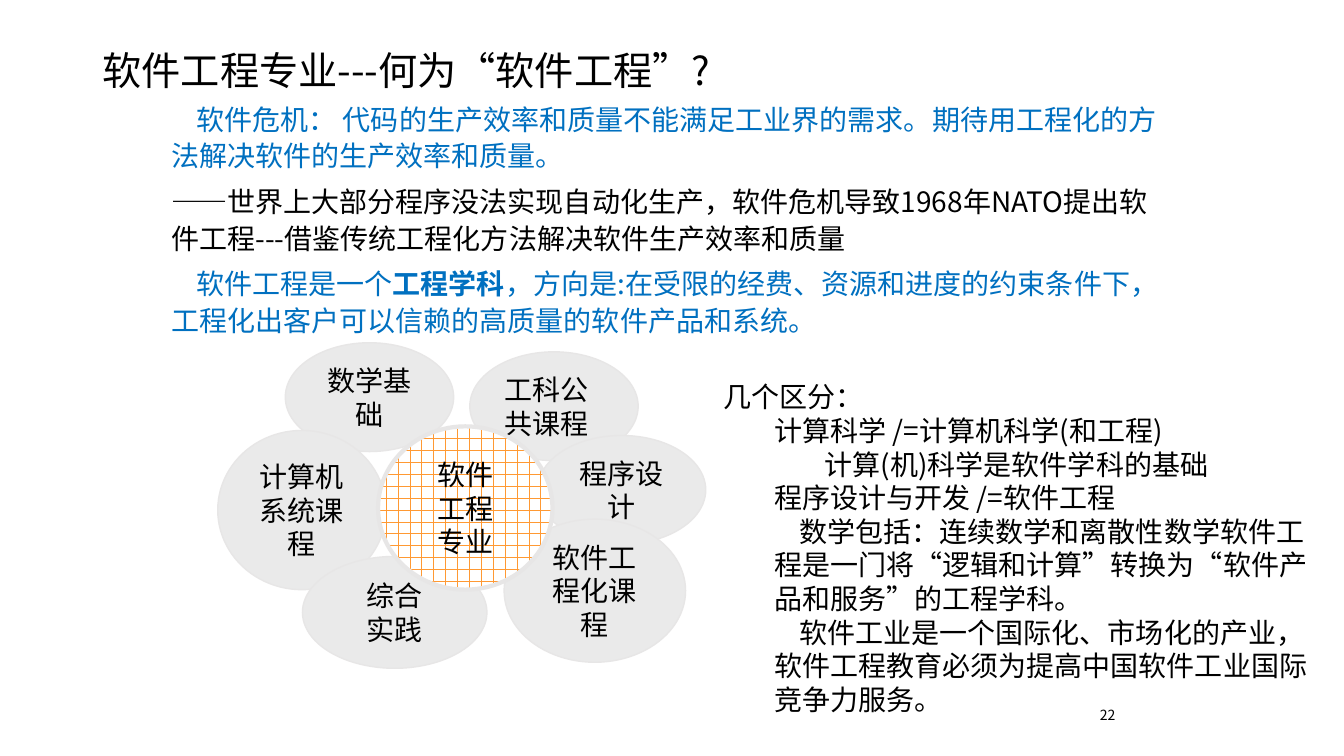
from lxml import etree
from pptx import Presentation
from pptx import util as u
from pptx.dml.color import RGBColor
from pptx.enum import dml, shapes, text
from pptx.oxml.ns import qn

SCALE = 9144
FONT = "Noto Sans CJK SC"
BLACK = RGBColor(0x00, 0x00, 0x00)
BLUE = RGBColor(0x00, 0x70, 0xC0)
PETAL = RGBColor(0xEA, 0xEA, 0xEA)
EDGE = RGBColor(0xE7, 0xE6, 0xE6)
ORANGE = RGBColor(0xFF, 0x99, 0x33)
WHITE = RGBColor(0xFF, 0xFF, 0xFF)
LEFT, CENTER, RIGHT = text.PP_ALIGN.LEFT, text.PP_ALIGN.CENTER, text.PP_ALIGN.RIGHT
TOP, MIDDLE = text.MSO_ANCHOR.TOP, text.MSO_ANCHOR.MIDDLE

COURSES = [
    ((283, 340, 167, 108), ["数学基础"], CENTER),
    ((466, 349, 167, 108), ["工科公共课程"], LEFT),
    ((216, 427, 167, 158), ["计算机", "系统课程"], CENTER),
    ((533, 432, 167, 108), ["程序设计"], CENTER),
    ((500, 515, 180, 142), ["软件工程化课程"], CENTER),
    ((300, 552, 183, 111), ["综合", "实践"], CENTER),
]
DEFINITION = [
    (BLUE, 25, ["软件危机： 代码的生产效率和质量不能满足工业界的需求。期待用工程化的方法解决软件的生产效率和质量。"]),
    (BLACK, 0, ["——世界上大部分程序没法实现自动化生产，软件危机导致1968年NATO提出软件工程---借鉴传统工程化方法解决软件生产效率和质量"]),
    (BLUE, 25, ["软件工程是一个", "工程学科",
                "，方向是:在受限的经费、资源和进度的约束条件下，工程化出客户可以信赖的高质量的软件产品和系统。"]),
]
DISTINCTIONS = [
    (0, 0, "几个区分："),
    (50, 0, "计算科学 /=计算机科学(和工程)"),
    (100, 0, "计算(机)科学是软件学科的基础"),
    (50, 0, "程序设计与开发 /=软件工程"),
    (50, 25, "数学包括：连续数学和离散性数学软件工程是一门将“逻辑和计算”转换为“软件产品和服务”的工程学科。"),
    (50, 25, "软件工业是一个国际化、市场化的产业，软件工程教育必须为提高中国软件工业国际竞争力服务。"),
]


def px(n):
    return u.Emu(n * SCALE)


def paragraph(tf, i, runs, size=20, color=BLACK, align=LEFT, margin=0, indent=0):
    p = tf.add_paragraph() if i else tf.paragraphs[0]
    pPr = p._p.get_or_add_pPr()
    pPr.set("marL", str(px(margin)))
    pPr.set("indent", str(px(indent)))
    p.alignment = align
    for content in runs:
        p.add_run().text = content
    p.font.name = FONT
    p.font.size = u.Pt(size)
    p.font.color.rgb = color
    etree.SubElement(pPr.find(qn("a:defRPr")), qn("a:ea"), typeface=FONT)
    return p


def textbox(s, box, anchor=TOP):
    tf = s.shapes.add_textbox(*map(px, box)).text_frame
    tf.word_wrap = True
    tf.vertical_anchor = anchor
    return tf


def ellipse(s, box, lines, align=CENTER, line_width=1):
    sp = s.shapes.add_shape(shapes.MSO_SHAPE.OVAL, *map(px, box))
    sp.shadow.inherit = False
    sp.fill.solid()
    sp.fill.fore_color.rgb = PETAL
    sp.line.color.rgb = EDGE
    sp.line.width = u.Pt(line_width)
    tf = sp.text_frame
    tf.word_wrap = True
    tf.vertical_anchor = MIDDLE
    for i, line in enumerate(lines):
        paragraph(tf, i, [line], align=align)
    return sp


def core(s):
    sp = ellipse(s, (375, 423, 173, 162), ["软件", "工程", "专业"], line_width=3)
    sp.fill.patterned()
    sp.fill.pattern = dml.MSO_PATTERN.HORIZONTAL_BRICK
    sp.fill.fore_color.rgb = ORANGE
    sp.fill.back_color.rgb = WHITE


def definition(s):
    tf = textbox(s, (160, 93, 1007, 117))
    for i, (color, indent, runs) in enumerate(DEFINITION):
        p = paragraph(tf, i, runs, color=color, indent=indent)
        p.line_spacing = 1.1
        if i:
            p.space_before = u.Pt(6)
        if len(runs) > 1:
            p.runs[1].font.bold = True


def distinctions(s):
    tf = textbox(s, (708, 372, 611, 347))
    for i, (margin, indent, content) in enumerate(DISTINCTIONS):
        paragraph(tf, i, [content], margin=margin, indent=indent)


def main():
    prs = Presentation()
    prs.slide_width, prs.slide_height = px(1333), px(750)
    s = prs.slides.add_slide(prs.slide_layouts[6])
    number = textbox(s, (883, 683, 233, 52), MIDDLE)
    paragraph(number, 0, ["22"], size=10, align=RIGHT)
    title = textbox(s, (92, 0, 1150, 145), MIDDLE)
    paragraph(title, 0, ["软件工程专业---何为“软件工程”?"], size=28).line_spacing = 0.9
    definition(s)
    for box, lines, align in COURSES:
        ellipse(s, box, lines, align)
    core(s)
    distinctions(s)
    prs.save("out.pptx")


if __name__ == "__main__":
    main()
